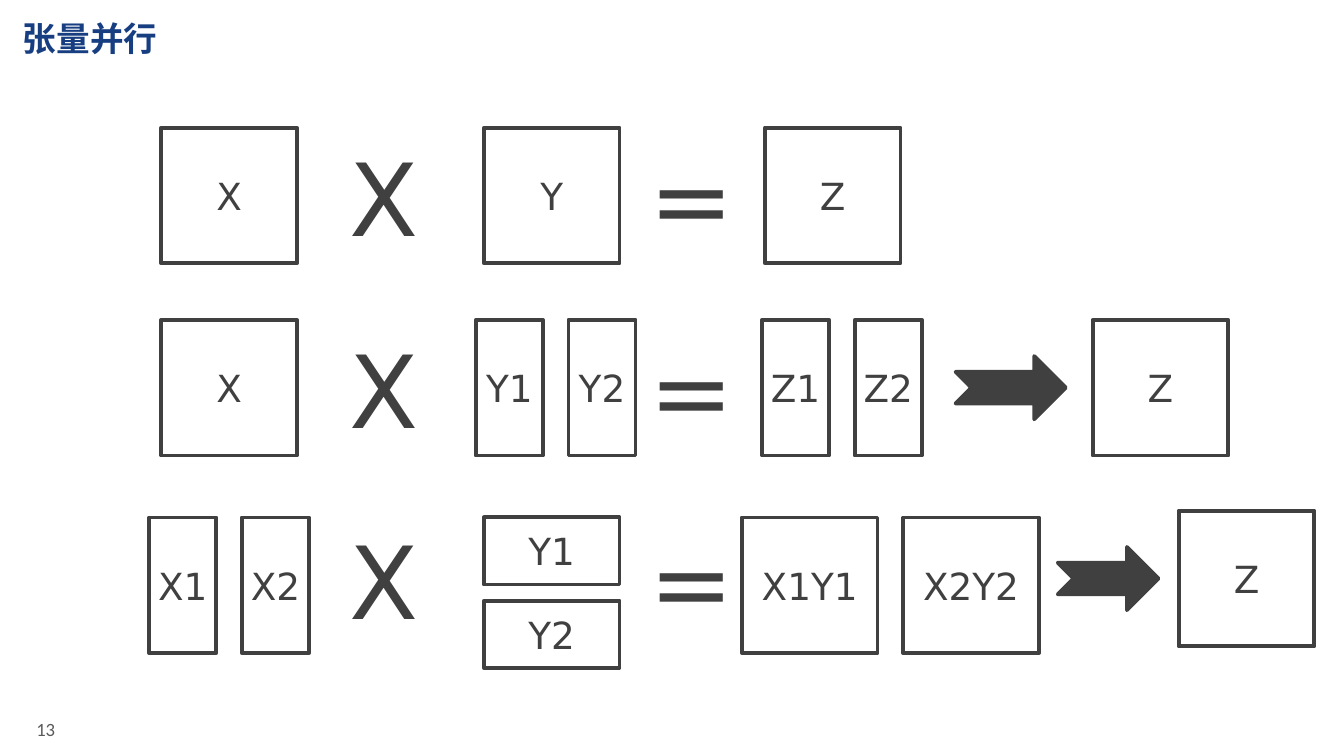
from dataclasses import dataclass
from lxml import etree
from pptx import Presentation
from pptx.dml.color import RGBColor
from pptx.enum.shapes import MSO_SHAPE
from pptx.enum.text import MSO_ANCHOR, MSO_AUTO_SIZE, PP_ALIGN
from pptx.oxml.ns import qn
from pptx.util import Inches, Pt

RECT, ARROW = MSO_SHAPE.RECTANGLE, MSO_SHAPE.NOTCHED_RIGHT_ARROW
LEFT, CENTER = PP_ALIGN.LEFT, PP_ALIGN.CENTER
TOP, MIDDLE, BOTTOM = MSO_ANCHOR.TOP, MSO_ANCHOR.MIDDLE, MSO_ANCHOR.BOTTOM
NONE = MSO_AUTO_SIZE.NONE
SIDE, HALF, STEP = 1.01, 0.5, 0.69


@dataclass(frozen=True)
class Theme:
    ink: str = "404040"
    paper: str = "FFFFFF"
    title: str = "173E81"
    muted: str = "5A5A5A"
    body: str = "DejaVu Sans"
    head: str = "Noto Sans CJK SC"
    foot: str = "Calibri"
    large: int = 54
    label: int = 20
    lead: int = 18
    small: int = 10
    line: int = 2


THEME = Theme()


def color(code):
    return RGBColor.from_string(code)


def lengths(*box):
    return [Inches(v) for v in box]


def write(shape, text, size=THEME.label, font=THEME.body, ink=THEME.ink,
          bold=False, align=CENTER, anchor=MIDDLE, inset=(0, 0), wrap=True):
    frame = shape.text_frame
    frame.auto_size = NONE
    frame.word_wrap = wrap
    frame.vertical_anchor = anchor
    frame.margin_left = frame.margin_right = Inches(inset[0])
    frame.margin_top = frame.margin_bottom = Inches(inset[1])
    para = frame.paragraphs[0]
    para.alignment = align
    run = para.add_run()
    run.text = text
    run.font.size = Pt(size)
    run.font.name = font
    run.font.bold = bold
    run.font.color.rgb = color(ink)
    east = etree.SubElement(run.font._element, qn("a:ea"))
    east.set("typeface", font)


def solid(slide, kind, box, fill):
    shape = slide.shapes.add_shape(kind, *lengths(*box))
    shape.shadow.inherit = False
    shape.fill.solid()
    shape.fill.fore_color.rgb = color(fill)
    shape.line.color.rgb = color(THEME.ink)
    shape.line.width = Pt(THEME.line)
    return shape


def block(slide, text, left, top, width=SIDE, height=SIDE):
    write(solid(slide, RECT, (left, top, width, height), THEME.paper), text)


def split(slide, names, left, top):
    for i, name in enumerate(names):
        block(slide, name, left + i * STEP, top, width=HALF)


def stack(slide, names, left, top):
    for i, name in enumerate(names):
        block(slide, name, left, top + i * 0.62, height=HALF)


def arrow(slide, left, top, width):
    solid(slide, ARROW, (left, top, width, 0.47), THEME.ink)


def signs(slide, left, top):
    for text, shift, width in (("X", 1.3, 0.72), ("=", 3.54, 0.82)):
        box = slide.shapes.add_textbox(*lengths(left + shift, top, width, SIDE))
        write(box, text, size=THEME.large, anchor=BOTTOM,
              inset=(0.1, 0.05), wrap=False)


def whole(slide, left, top):
    signs(slide, left, top)
    for name, shift in (("X", 0), ("Y", 2.4), ("Z", 4.49)):
        block(slide, name, left + shift, top)


def columns(slide, left, top):
    signs(slide, left, top)
    block(slide, "X", left, top)
    split(slide, ("Y1", "Y2"), left + 2.34, top)
    split(slide, ("Z1", "Z2"), left + 4.47, top)
    arrow(slide, left + 5.91, top + 0.27, 0.82)
    block(slide, "Z", left + 6.93, top)


def rows(slide, left, top):
    signs(slide, left, top)
    low = top + 0.05
    split(slide, ("X1", "X2"), left - 0.09, low)
    stack(slide, ("Y1", "Y2"), left + 2.4, low)
    for i, name in enumerate(("X1Y1", "X2Y2")):
        block(slide, name, left + 4.32 + i * 1.2, low)
    arrow(slide, left + 6.67, top + 0.27, 0.75)
    block(slide, "Z", left + 7.57, top)


def header(slide, text, box):
    title = slide.shapes.title
    title.left, title.top, title.width, title.height = lengths(*box)
    write(title, text, size=THEME.lead, font=THEME.head, ink=THEME.title,
          bold=True, align=LEFT, anchor=TOP, inset=(0.1, 0.05))


def footer(slide, text, box):
    write(slide.shapes.add_textbox(*lengths(*box)), text, size=THEME.small,
          font=THEME.foot, ink=THEME.muted, align=LEFT)


def main():
    deck = Presentation()
    deck.slide_width = Inches(10)
    deck.slide_height = deck.slide_width * 9 // 16
    slide = deck.slides.add_slide(deck.slide_layouts[5])
    header(slide, "张量并行", (0.07, 0.08, 9.86, 0.45))
    whole(slide, 1.2, 0.95)
    columns(slide, 1.2, 2.38)
    rows(slide, 1.2, 3.8)
    footer(slide, "13", (0.27, 5.34, 0.55, 0.17))
    deck.save("out.pptx")


if __name__ == "__main__":
    main()
